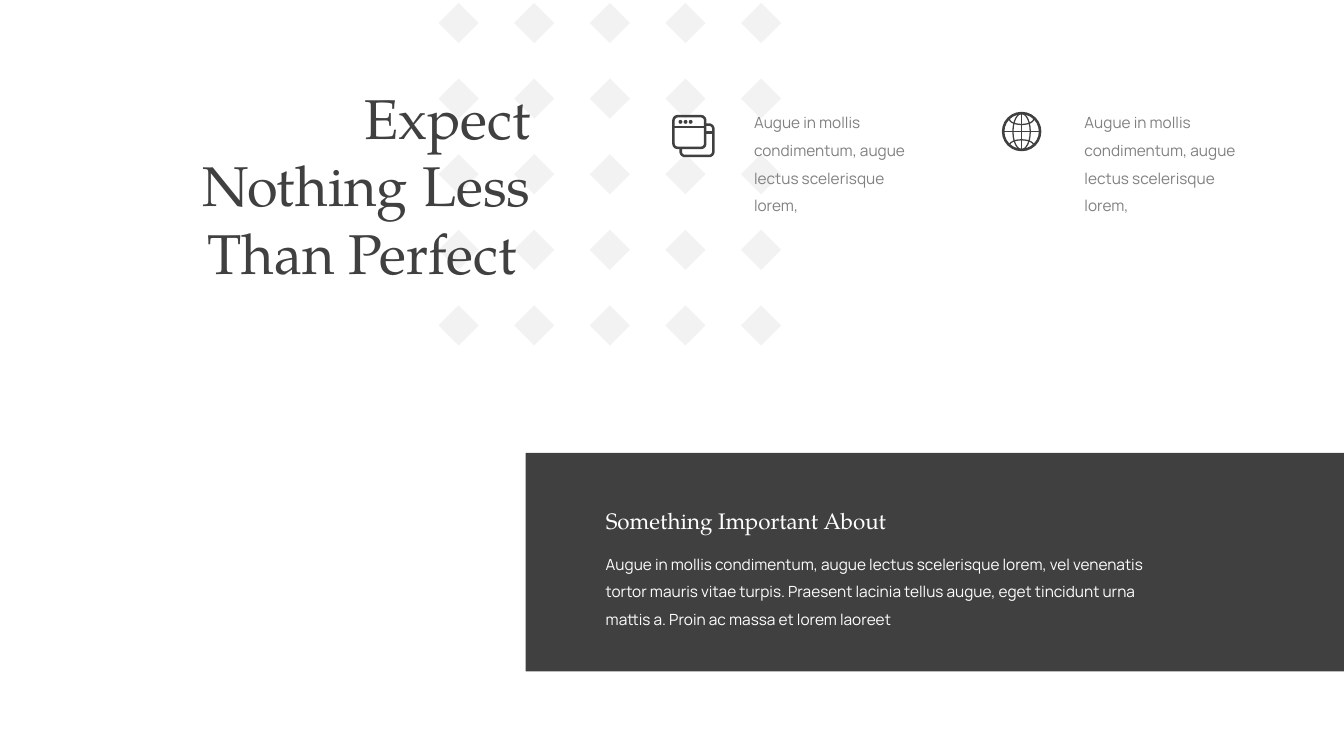
import math

import pptx
import pptx.dml.color
import pptx.enum.shapes
import pptx.enum.text
import pptx.util

COLORS = {"dark": "404040", "pattern": "F2F2F2", "muted": "808080", "light": "FFFFFF"}
SERIF = "TeX Gyre Pagella"
SANS = "Manrope"
SHAPES = pptx.enum.shapes.MSO_SHAPE
ALIGN = pptx.enum.text.PP_ALIGN
WIDTH = pptx.util.Inches(13.33)
HEIGHT = pptx.util.Inches(7.5)
CELL = HEIGHT / 10
FEATURE = "Augue in mollis condimentum, augue lectus scelerisque lorem,"
DETAIL = (
    "Augue in mollis condimentum, augue lectus scelerisque lorem, vel venenatis "
    "tortor mauris vitae turpis. Praesent lacinia tellus augue, eget tincidunt urna "
    "mattis a. Proin ac massa et lorem laoreet"
)


def grid(*cells):
    return [pptx.util.Emu(round(cell * CELL)) for cell in cells]


def color(name):
    return pptx.dml.color.RGBColor.from_string(COLORS[name])


def paint(shape, fill=None, line=None, weight=1.8):
    shape.shadow.inherit = False
    if fill:
        shape.fill.solid()
        shape.fill.fore_color.rgb = color(fill)
    else:
        shape.fill.background()
    if line:
        shape.line.color.rgb = color(line)
        shape.line.width = pptx.util.Pt(weight)
    else:
        shape.line.fill.background()


def add_preset(page, kind, cells, **style):
    shape = page.shapes.add_shape(kind, *grid(*cells))
    paint(shape, **style)
    return shape


def add_stroke(page, points, weight=1.8):
    corners = [grid(*point) for point in points]
    builder = page.shapes.build_freeform(*corners[0])
    builder.add_line_segments(corners[1:], close=False)
    paint(builder.convert_to_shape(), line="dark", weight=weight)


def write(box, text, size, font, ink, spacing=1.5, align=ALIGN.LEFT):
    frame = box.text_frame
    frame.word_wrap = True
    frame.auto_size = pptx.enum.text.MSO_AUTO_SIZE.SHAPE_TO_FIT_TEXT
    frame.vertical_anchor = pptx.enum.text.MSO_ANCHOR.TOP
    para = frame.paragraphs[0]
    para.alignment = align
    para.line_spacing = spacing
    para.space_before = pptx.util.Pt(0)
    span = para.add_run()
    span.text = text
    span.font.size = pptx.util.Pt(size)
    span.font.name = font
    span.font.color.rgb = color(ink)


def add_text(page, cells, text, size, font, ink):
    box = page.shapes.add_textbox(*grid(*cells))
    write(box, text, size, font, ink)


def add_title(page, cells, text):
    title = page.shapes.title
    title.left, title.top, title.width, title.height = grid(*cells)
    write(title, text, 40, SERIF, "dark", spacing=1.0, align=ALIGN.RIGHT)
    title.element.getparent().append(title.element)


def add_pattern(page, left, top, count, size):
    for row in range(count):
        for column in range(count):
            cells = (left + column, top + row, size, size)
            add_preset(page, SHAPES.DIAMOND, cells, fill="pattern")


def arc(center, radii, start, end, steps=12):
    angles = [math.radians(start + (end - start) * step / steps) for step in range(steps + 1)]
    return [
        (center[0] + radii[0] * math.cos(angle), center[1] + radii[1] * math.sin(angle))
        for angle in angles
    ]


def place(points, left, top, size):
    return [(left + x * size, top + y * size) for x, y in points]


def add_globe(page, left, top, size):
    for x, y, width, height, weight in ((0.03, 0.03, 0.94, 0.94, 1.8), (0.28, 0.04, 0.44, 0.92, 0.9)):
        cells = (left + x * size, top + y * size, width * size, height * size)
        add_preset(page, SHAPES.OVAL, cells, line="dark", weight=weight)
    curves = (
        [(0.5, 0.04), (0.5, 0.96)],
        [(0.04, 0.5), (0.96, 0.5)],
        arc((0.5, 0.18), (0.31, 0.14), 0, 180),
        arc((0.5, 0.85), (0.31, 0.14), 180, 360),
    )
    for curve in curves:
        add_stroke(page, place(curve, left, top, size), weight=0.9)


def add_windows(page, left, top, size):
    cells = (left + 0.03 * size, top + 0.03 * size, 0.75 * size, 0.75 * size)
    front = add_preset(page, SHAPES.ROUNDED_RECTANGLE, cells, line="dark")
    front.adjustments[0] = 0.13
    radii = (0.1, 0.1)
    back = [
        (0.79, 0.23),
        *arc((0.87, 0.33), radii, -90, 0),
        *arc((0.87, 0.87), radii, 0, 90),
        *arc((0.3, 0.87), radii, 90, 180),
        (0.2, 0.79),
    ]
    for points in (back, [(0.03, 0.29), (0.78, 0.29)], [(0.79, 0.42), (0.97, 0.42)]):
        add_stroke(page, place(points, left, top, size))
    for dot in range(3):
        x = left + (0.15 + 0.12 * dot) * size
        add_preset(page, SHAPES.OVAL, (x, top + 0.12 * size, 0.09 * size, 0.09 * size), fill="dark")


def main():
    deck = pptx.Presentation()
    deck.slide_width, deck.slide_height = WIDTH, HEIGHT
    page = deck.slides.add_slide(deck.slide_layouts[5])

    add_pattern(page, 5.8, 0.04, count=5, size=0.53)
    add_globe(page, 13.25, 1.48, 0.52)
    add_windows(page, 8.89, 1.52, 0.56)
    for left in (14.21, 9.84):
        add_text(page, (left, 1.31, 2.47, 1.61), FEATURE, 11, SANS, "muted")
    add_title(page, (2.12, 1.04, 5.03, 2.83), "Expect Nothing Less Than Perfect ")

    panel_left = 6.95
    add_preset(page, SHAPES.RECTANGLE, (panel_left, 5.99, WIDTH / CELL - panel_left, 2.89), fill="dark")
    add_text(page, (7.88, 7.15, 7.89, 1.24), DETAIL, 11, SANS, "light")
    add_text(page, (7.88, 6.47, 4.89, 0.6), "Something Important About", 16, SERIF, "light")
    deck.save("out.pptx")


if __name__ == "__main__":
    main()
